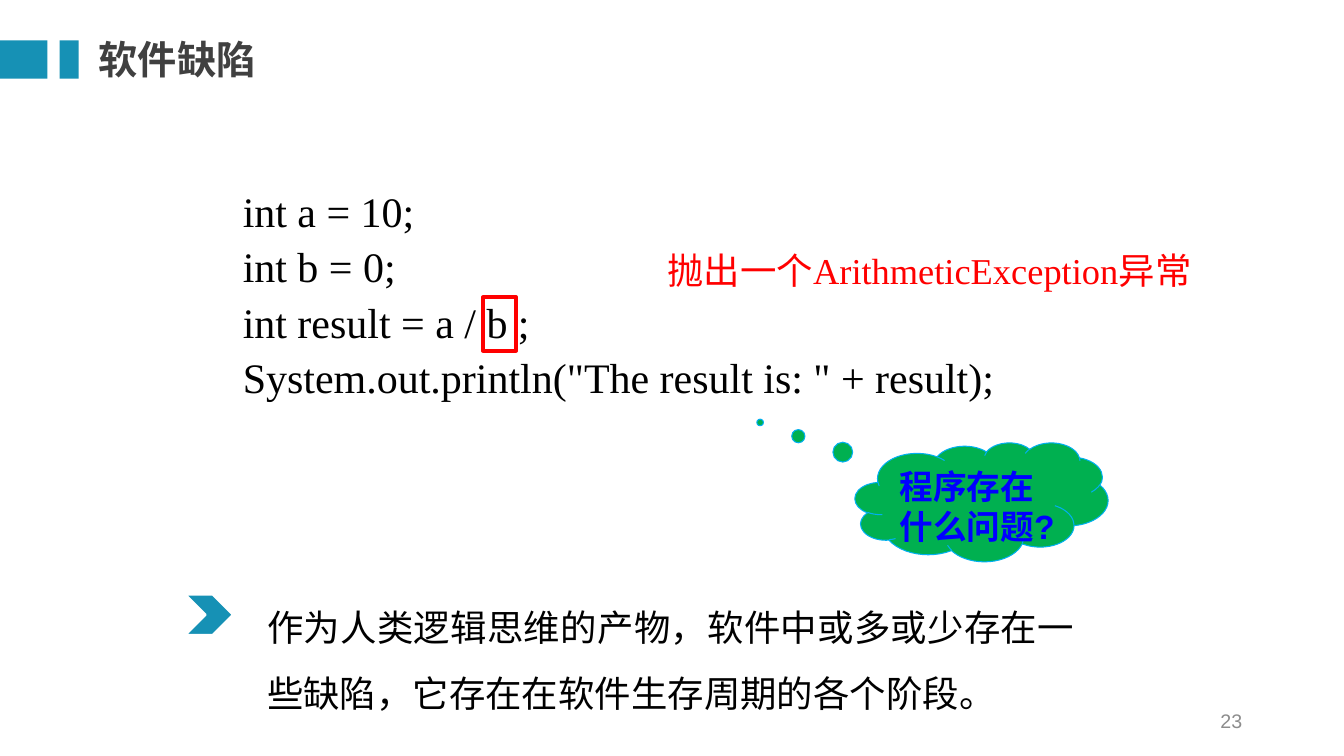
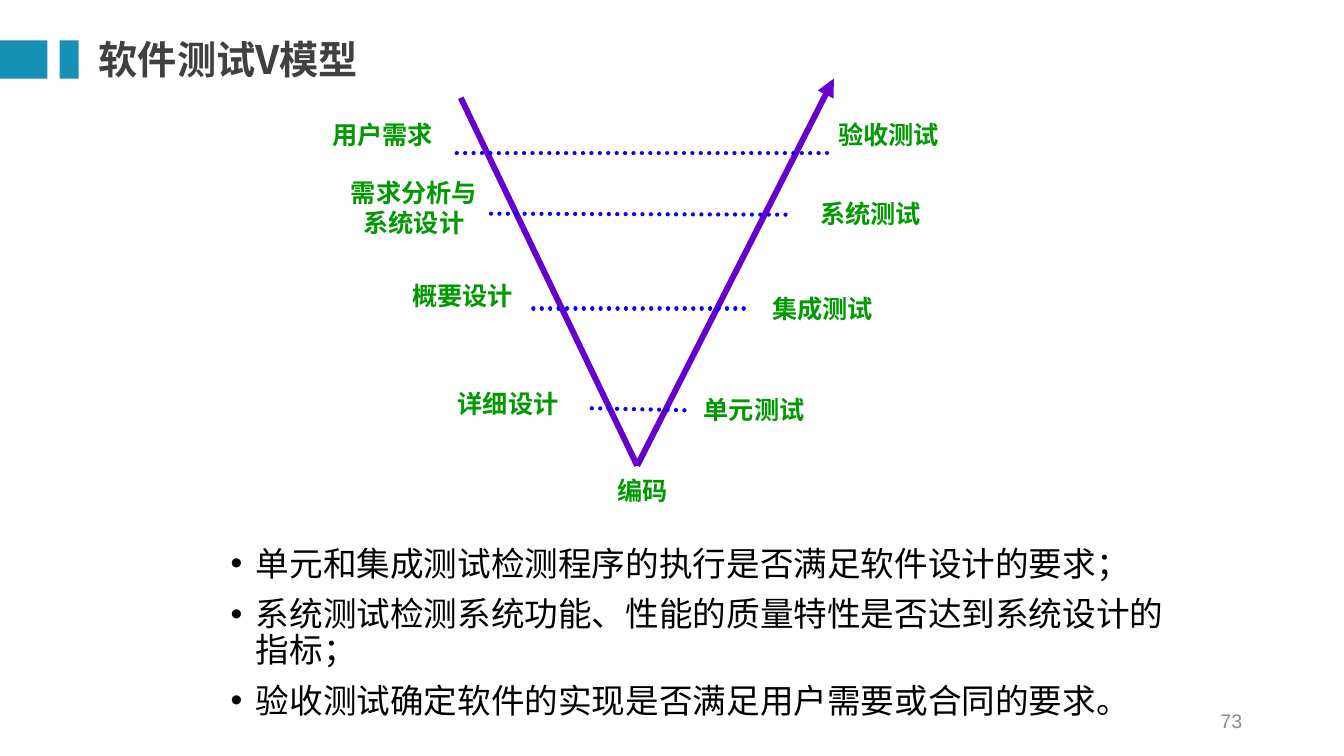
from typing import NamedTuple

from lxml.etree import SubElement
from pptx import Presentation
from pptx.dml.color import RGBColor
from pptx.enum.dml import MSO_LINE
from pptx.enum.shapes import MSO_CONNECTOR, MSO_SHAPE
from pptx.enum.text import MSO_ANCHOR, PP_ALIGN
from pptx.oxml.ns import qn
from pptx.util import Emu, Pt

PX = 9144  # EMU per px, 100 px to the inch
TEAL, TITLE_GREY, NUMBER_GREY = "1691B5", "404040", "8C8C8C"
BLACK, WHITE, RED, BLUE = "000000", "FFFFFF", "FF0000", "0000FF"
CLOUD_GREEN, CLOUD_EDGE = "00B050", "00B0F0"
PURPLE, LABEL_GREEN = "6600CC", "009900"
CJK, SERIF, SANS = "Noto Sans CJK SC", "Times New Roman", "Arial"


class Box(NamedTuple):
    left: int
    top: int
    width: int
    height: int


class Line(NamedTuple):
    x1: int
    y1: int
    x2: int
    y2: int


class Label(NamedTuple):
    text: str
    left: int
    top: int
    width: int


CODE = """int a = 10;
int b = 0;
int result = a / b ;
System.out.println("The result is: " + result);"""

V_LABELS = [
    Label("用户需求", 306, 113, 147),
    Label("需求分析与系统设计", 337, 171, 147),
    Label("概要设计", 376, 273, 166),
    Label("详细设计", 427, 380, 154),
    Label("编码", 587, 467, 101),
    Label("单元测试", 673, 386, 150),
    Label("集成测试", 733, 286, 166),
    Label("系统测试", 784, 192, 159),
    Label("验收测试", 803, 113, 157),
]

V_LEVELS = [
    Line(453, 152, 823, 152),
    Line(487, 212, 784, 213),
    Line(529, 306, 740, 306),
    Line(587, 405, 679, 407),
]

TEST_GOALS = """单元和集成测试检测程序的执行是否满足软件设计的要求；
系统测试检测系统功能、性能的质量特性是否达到系统设计的指标；
验收测试确定软件的实现是否满足用户需要或合同的要求。"""


def emu(values) -> list[Emu]:
    return [Emu(v * PX) for v in values]


def rgb(color: str) -> RGBColor:
    return RGBColor.from_string(color)


def add_bullet(p, indent: int) -> None:
    pPr = p._p.get_or_add_pPr()
    pPr.set("marL", str(indent * PX))
    pPr.set("indent", str(-indent * PX))
    SubElement(pPr, qn("a:buFont"), typeface=SANS)
    SubElement(pPr, qn("a:buChar"), char="•")


def write(tf, text: str, *, size: int, color: str = BLACK, font: str = CJK,
          bold: bool = False, align=PP_ALIGN.LEFT, anchor=MSO_ANCHOR.TOP,
          spacing: float = 1.0, before: int = 0, bullet: bool = False,
          inset: bool = True) -> None:
    """Fill a text frame, one paragraph a line; font applies to Latin text."""
    tf.word_wrap = True
    tf.vertical_anchor = anchor
    if not inset:
        tf.margin_left = tf.margin_top = tf.margin_right = tf.margin_bottom = 0
    for i, content in enumerate(text.split("\n")):
        p = tf.add_paragraph() if i else tf.paragraphs[0]
        if bullet:
            add_bullet(p, 25)
        p.alignment = align
        p.line_spacing = spacing
        if i and before:
            p.space_before = Pt(before)
        r = p.add_run()
        r.text = content
        r.font.size = Pt(size)
        r.font.bold = bold
        r.font.name = font
        r.font.color.rgb = rgb(color)
        SubElement(r._r.get_or_add_rPr(), qn("a:ea"), typeface=CJK)


def add_text(s, text: str, box: Box, **fmt) -> None:
    write(s.shapes.add_textbox(*emu(box)).text_frame, text, **fmt)


def add_shape(s, kind, box: Box, fill: str | None = None,
              line: str | None = None, weight: float = 1):
    sp = s.shapes.add_shape(kind, *emu(box))
    sp.shadow.inherit = False
    if fill:
        sp.fill.solid()
        sp.fill.fore_color.rgb = rgb(fill)
    else:
        sp.fill.background()
    if line:
        sp.line.color.rgb = rgb(line)
        sp.line.width = Pt(weight)
    else:
        sp.line.fill.background()
    return sp


def add_line(s, line: Line, color: str, weight: float,
             dotted: bool = False, arrow: bool = False) -> None:
    c = s.shapes.add_connector(MSO_CONNECTOR.STRAIGHT, *emu(line))
    c.line.color.rgb = rgb(color)
    c.line.width = Pt(weight)
    ln = c.line._get_or_add_ln()
    if dotted:
        c.line.dash_style = MSO_LINE.ROUND_DOT
        ln.set("cap", "rnd")
    if arrow:
        SubElement(ln, qn("a:tailEnd"), type="triangle")
    SubElement(c._element.spPr, qn("a:effectLst"))


def add_slide(prs, title: str, number: int):
    """Add a slide with the title bars, title and page number."""
    s = prs.slides.add_slide(prs.slide_layouts[6])
    for left, width in ((0, 47), (59, 19)):
        add_shape(s, MSO_SHAPE.RECTANGLE, Box(left, 40, width, 38), TEAL)
    add_text(s, title, Box(98, 31, 434, 55), size=28, color=TITLE_GREY,
             bold=True, anchor=MSO_ANCHOR.MIDDLE, inset=False)
    add_text(s, str(number), Box(942, 695, 300, 40), size=14, font=SANS,
             color=NUMBER_GREY, align=PP_ALIGN.RIGHT, anchor=MSO_ANCHOR.MIDDLE)
    return s


def build_defect_slide(prs) -> None:
    s = add_slide(prs, "软件缺陷", 23)
    add_text(s, "作为人类逻辑思维的产物，软件中或多或少存在一些缺陷，它存在在软件生存周期的各个阶段。",
             Box(255, 574, 821, 141), size=26, spacing=1.5, align=PP_ALIGN.JUSTIFY)
    add_shape(s, MSO_SHAPE.CHEVRON, Box(184, 590, 47, 40), TEAL, WHITE, 1.5)
    add_text(s, CODE, Box(231, 174, 783, 232), size=30, font=SERIF, spacing=1.1)
    cloud = add_shape(s, MSO_SHAPE.CLOUD_CALLOUT, Box(848, 439, 251, 118),
                      CLOUD_GREEN, CLOUD_EDGE, 0.75)
    cloud.adjustments[0], cloud.adjustments[1] = -0.875, -0.669
    write(cloud.text_frame, "程序存在什么问题?", size=24, font=SANS, color=BLUE, bold=True)
    add_text(s, "抛出一个ArithmeticException异常", Box(652, 241, 667, 54),
             size=26, font=SERIF, color=RED)
    add_shape(s, MSO_SHAPE.RECTANGLE, Box(479, 295, 33, 53), line=RED, weight=2.75)


def build_v_model_slide(prs) -> None:
    s = add_slide(prs, "软件测试V模型", 73)
    add_text(s, TEST_GOALS, Box(219, 538, 953, 182), size=24, spacing=0.9,
             before=10, bullet=True)
    add_line(s, Line(457, 97, 632, 462), PURPLE, 4.25)
    add_line(s, Line(632, 462, 827, 78), PURPLE, 4.25, arrow=True)
    for level in V_LEVELS:
        add_line(s, level, BLUE, 3, dotted=True)
    for label in V_LABELS:
        add_text(s, label.text, Box(label.left, label.top, label.width, 58),
                 size=18, color=LABEL_GREEN, bold=True, align=PP_ALIGN.CENTER)


def main() -> None:
    prs = Presentation()
    prs.slide_width, prs.slide_height = emu((1333, 750))
    build_defect_slide(prs)
    build_v_model_slide(prs)
    prs.save("out.pptx")


if __name__ == "__main__":
    main()
